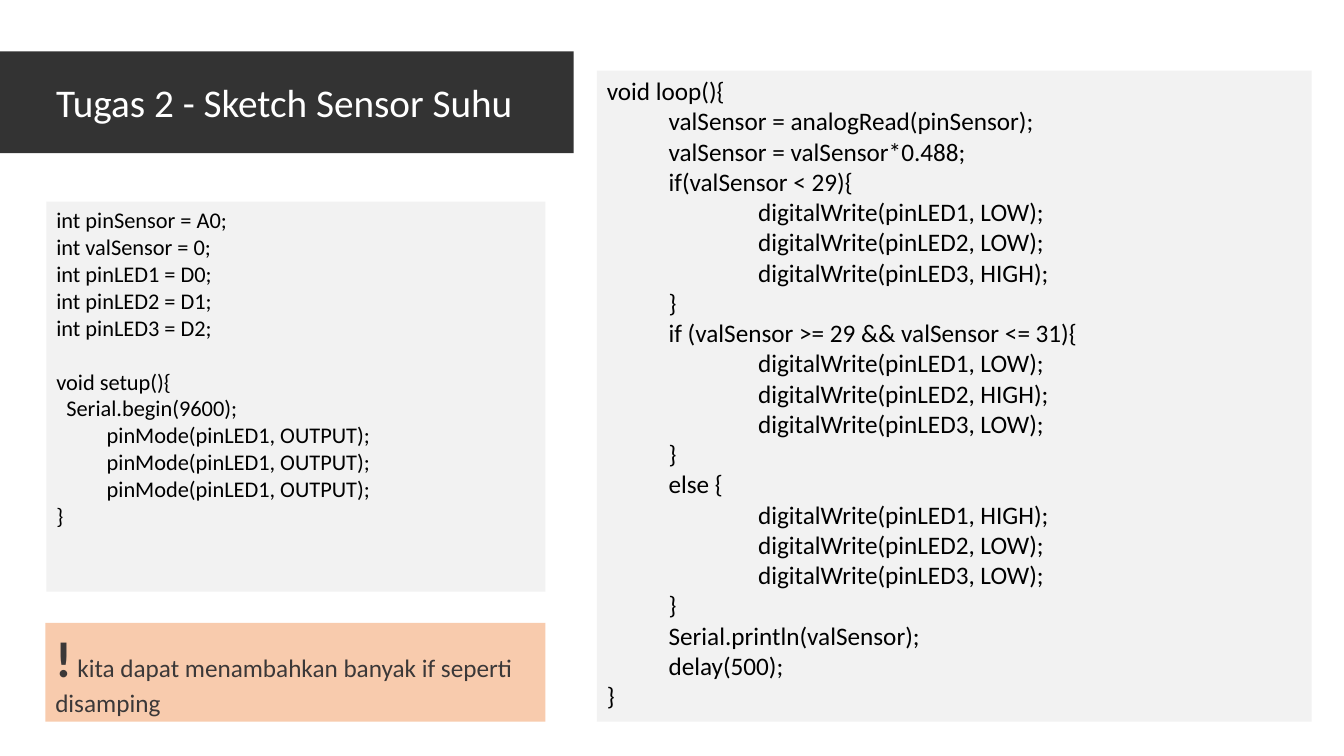
"""Build the temperature sensor sketch slide."""
from pptx import Presentation
from pptx.dml.color import RGBColor
from pptx.enum.shapes import MSO_SHAPE
from pptx.enum.text import MSO_ANCHOR, PP_ALIGN
from pptx.util import Inches, Pt

RECT = MSO_SHAPE.RECTANGLE
TOP, MIDDLE = MSO_ANCHOR.TOP, MSO_ANCHOR.MIDDLE
LEFT = PP_ALIGN.LEFT
FONT = "Calibri"
GREY, DARK, PEACH = "F2F2F2", "333333", "F8CBAD"
BLACK, WHITE, BROWN = "000000", "FFFFFF", "3B3838"
STEP, DEEP = 0.5, 1.5

TITLE = "Tugas 2 - Sketch Sensor Suhu"
NOTE = [("!", 36, True), (" kita dapat menambahkan banyak if seperti disamping", 18, False)]
SETUP = [
    (0, "int pinSensor = A0;"),
    (0, "int valSensor = 0;"),
    (0, "int pinLED1 = D0;"),
    (0, "int pinLED2 = D1;"),
    (0, "int pinLED3 = D2;"),
    (0, ""),
    (0, "void setup(){"),
    (0, "  Serial.begin(9600);"),
    *[(STEP, "pinMode(pinLED1, OUTPUT);")] * 3,
    (0, "}"),
]
BRANCHES = [
    ("  if(valSensor < 29){", ("LOW", "LOW", "HIGH")),
    ("  if (valSensor >= 29 && valSensor <= 31){", ("LOW", "HIGH", "LOW")),
    ("  else {", ("HIGH", "LOW", "LOW")),
]
START = [
    (0, "void loop(){"),
    (STEP, "  valSensor = analogRead(pinSensor);"),
    (STEP, "  valSensor = valSensor*0.488;"),
]
FINISH = [
    (STEP, "  Serial.println(valSensor);"),
    (STEP, "  delay(500);"),
    (0, "}"),
]


def paint(target, color):
    target.solid()
    target.fore_color.rgb = RGBColor.from_string(color)


def style(font, size, color, bold=False):
    font.name, font.size, font.bold = FONT, Pt(size), bold
    paint(font.fill, color)


def panel(slide, box, color, anchor=TOP):
    shape = slide.shapes.add_shape(RECT, *map(Inches, box))
    shape.shadow.inherit = False
    paint(shape.fill, color)
    shape.line.fill.background()
    frame = shape.text_frame
    frame.word_wrap = True
    frame.vertical_anchor = anchor
    frame.paragraphs[0].alignment = LEFT
    return frame


def listing(slide, box, lines, size):
    frame = panel(slide, box, GREY)
    for row, (inset, text) in enumerate(lines):
        para = frame.add_paragraph() if row else frame.paragraphs[0]
        para.alignment = LEFT
        if inset:
            para.level = 1
            props = para._p.get_or_add_pPr()
            props.set("marL", str(Inches(inset)))
            props.set("indent", "0")
        if text:
            para.add_run().text = text
        style(para.font, size, BLACK)


def branch(head, states):
    writes = [(DEEP, f"digitalWrite(pinLED{led}, {state});")
              for led, state in enumerate(states, 1)]
    return [(STEP, head), *writes, (STEP, "  }")]


def main():
    deck = Presentation()
    deck.slide_width, deck.slide_height = Inches(13.33), Inches(7.5)
    slide = deck.slides.add_slide(deck.slide_layouts[6])

    listing(slide, (0.46, 2, 4.95, 3.87), SETUP, 16)
    panel(slide, (0, 0.51, 5.69, 1.01), DARK)

    title = slide.shapes.add_textbox(*map(Inches, (0.46, 0.73, 4.83, 0.57)))
    title.text_frame.word_wrap = False
    para = title.text_frame.paragraphs[0]
    para.text = TITLE
    style(para.font, 28, WHITE)

    loop = START + [line for part in BRANCHES for line in branch(*part)] + FINISH
    listing(slide, (5.92, 0.7, 7.09, 6.46), loop, 18)

    para = panel(slide, (0.45, 6.18, 4.96, 0.98), PEACH, MIDDLE).paragraphs[0]
    for text, size, bold in NOTE:
        run = para.add_run()
        run.text = text
        style(run.font, size, BROWN, bold)

    deck.save("out.pptx")


if __name__ == "__main__":
    main()
